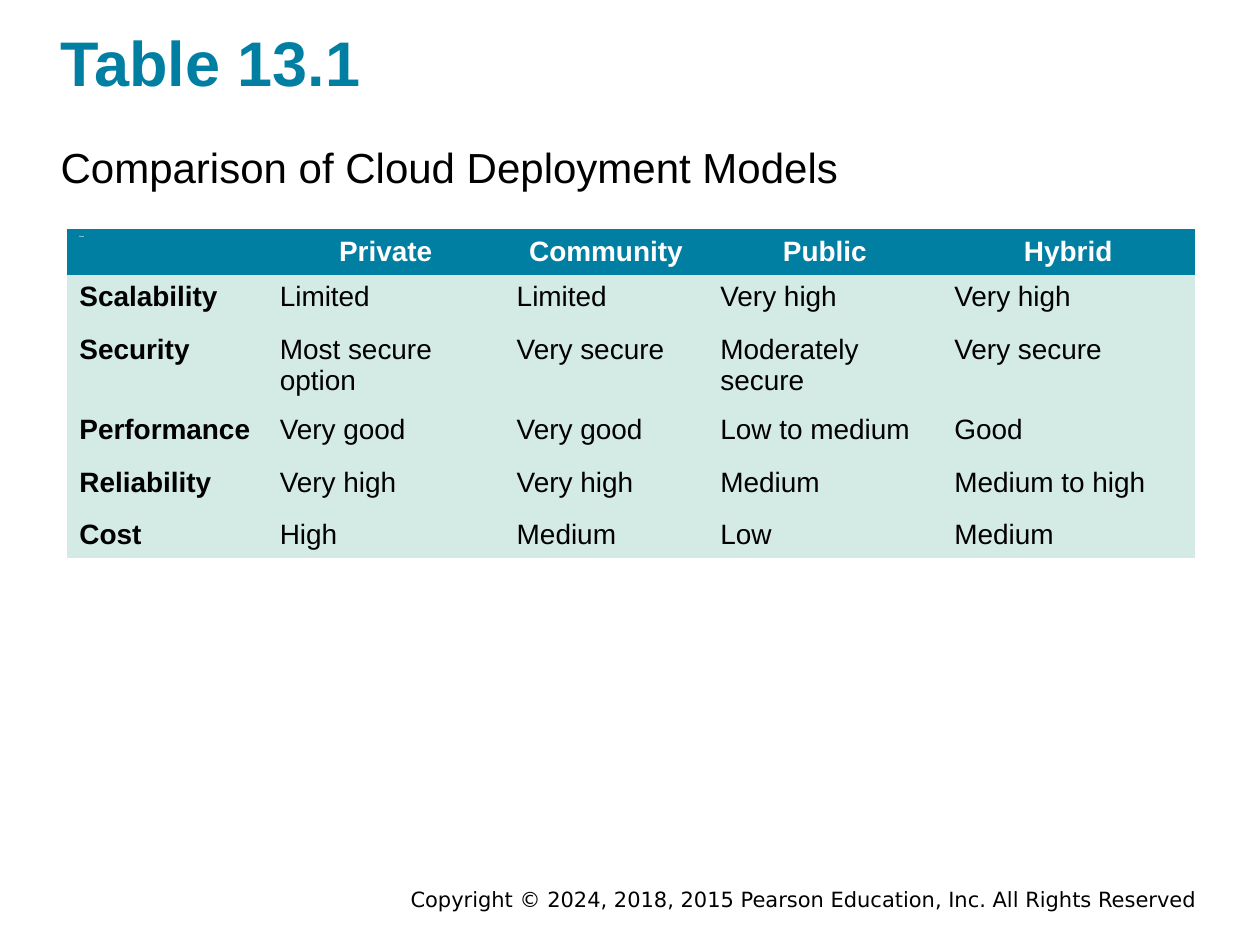
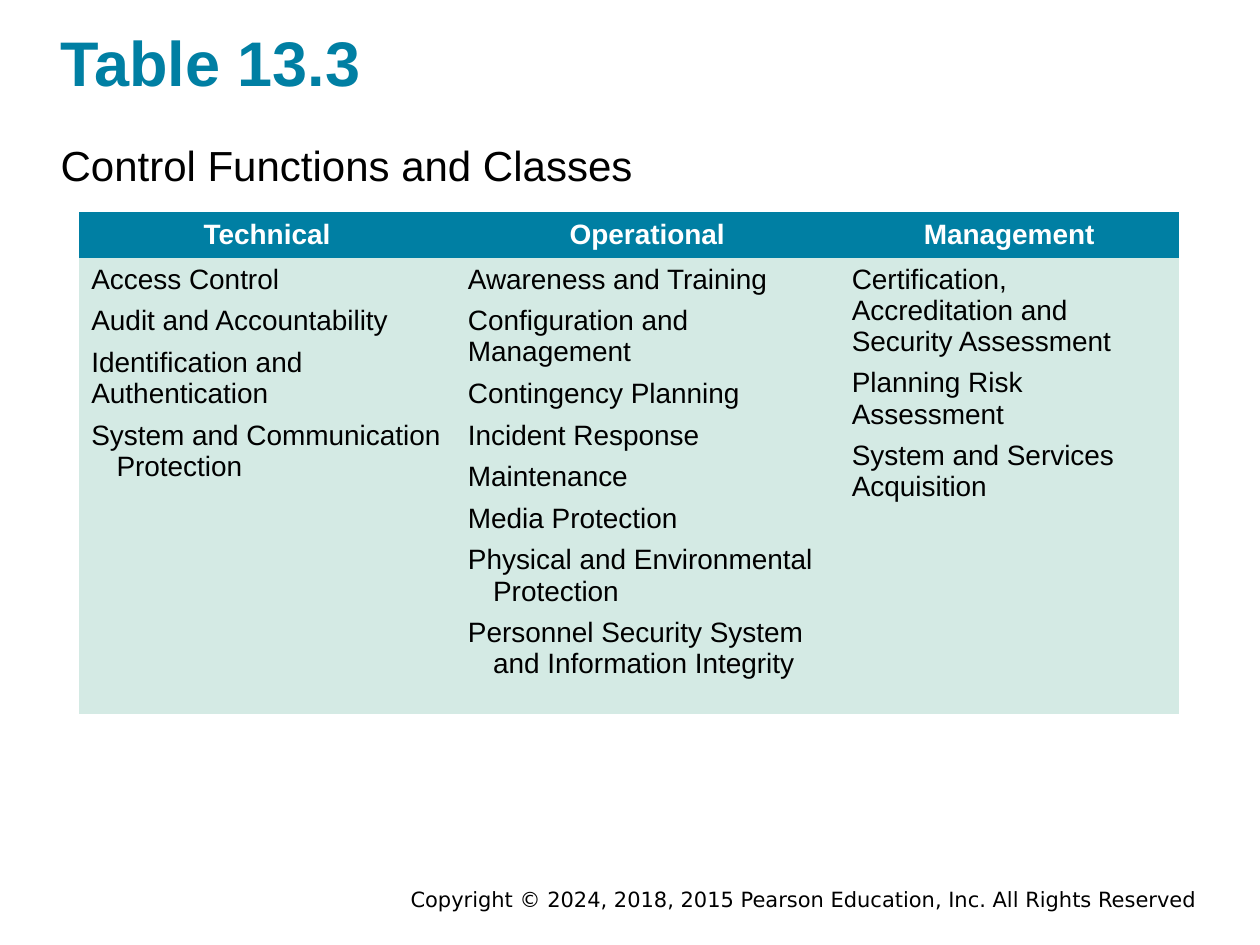
from pptx import Presentation
from pptx.dml.color import RGBColor
from pptx.enum.text import MSO_ANCHOR, MSO_AUTO_SIZE, PP_ALIGN
from pptx.util import Pt

TEAL = RGBColor(0x00, 0x7F, 0xA3)
MINT = RGBColor(0xD4, 0xEA, 0xE4)
WHITE = RGBColor(0xFF, 0xFF, 0xFF)
BLACK = RGBColor(0x00, 0x00, 0x00)
LEFT, CENTER, RIGHT = PP_ALIGN.LEFT, PP_ALIGN.CENTER, PP_ALIGN.RIGHT
TOP, MIDDLE = MSO_ANCHOR.TOP, MSO_ANCHOR.MIDDLE
NO_AUTOFIT = MSO_AUTO_SIZE.NONE
PLAIN_TABLE_STYLE = "{2D5ABB26-0587-4C30-8999-92F81FD0307C}"
COPYRIGHT = "Copyright © 2024, 2018, 2015 Pearson Education, Inc. All Rights Reserved"
HANGING = {
    "System and Communication Protection",
    "Physical and Environmental Protection",
    "Personnel Security System and Information Integrity",
}

TABLES = [
    {
        "title": "Table 13.1",
        "subtitle": "Comparison of Cloud Deployment Models",
        "subtitle_top": 79.2,
        "corner": (38.2, 131),
        "columns": [114.5, 135.4, 116.4, 133.7, 144.5],
        "heights": [26.2, 30.2, 45.7, 30.2, 29.7, 26.2],
        "row_labels": True,
        "rows": [
            ["Blank", "Private", "Community", "Public", "Hybrid"],
            ["Scalability", "Limited", "Limited", "Very high", "Very high"],
            ["Security", "Most secure option", "Very secure",
             "Moderately secure", "Very secure"],
            ["Performance", "Very good", "Very good", "Low to medium", "Good"],
            ["Reliability", "Very high", "Very high", "Medium", "Medium to high"],
            ["Cost", "High", "Medium", "Low", "Medium"],
        ],
    },
    {
        "title": "Table 13.3",
        "subtitle": "Control Functions and Classes",
        "subtitle_top": 78.2,
        "corner": (45, 121),
        "columns": [215.2, 219.4, 194.2],
        "heights": [26.2, 260.6],
        "row_labels": False,
        "rows": [
            ["Technical", "Operational", "Management"],
            [
                "Access Control\n"
                "Audit and Accountability\n"
                "Identification and Authentication\n"
                "System and Communication Protection",
                "Awareness and Training\n"
                "Configuration and Management\n"
                "Contingency Planning\n"
                "Incident Response\n"
                "Maintenance\n"
                "Media Protection\n"
                "Physical and Environmental Protection\n"
                "Personnel Security System and Information Integrity",
                "Certification, Accreditation and Security Assessment\n"
                "Planning Risk Assessment\n"
                "System and Services Acquisition",
            ],
        ],
    },
]


def set_font(paragraph, size, color, bold=False, name="Arial"):
    font = paragraph.font
    font.name, font.size, font.bold = name, Pt(size), bold
    font.color.rgb = color


def write_line(shape, box, text, align=LEFT):
    """Place a one-line text shape and return its paragraph."""
    shape.left, shape.top, shape.width, shape.height = map(Pt, box)
    frame = shape.text_frame
    frame.text = text
    frame.word_wrap = True
    frame.auto_size = NO_AUTOFIT
    frame.vertical_anchor = MIDDLE
    frame.margin_left = frame.margin_right = 0
    frame.margin_top = frame.margin_bottom = Pt(1.5)
    frame.paragraphs[0].alignment = align
    return frame.paragraphs[0]


prs = Presentation()
prs.slide_width, prs.slide_height = Pt(720), Pt(540)
title_only = prs.slide_layouts[5]

for content in TABLES:
    slide = prs.slides.add_slide(title_only)

    title = write_line(slide.shapes.title, (34.6, 11.5, 651.6, 46.8), content["title"])
    set_font(title, 36, TEAL, bold=True)

    subtitle = write_line(slide.shapes.add_textbox(0, 0, 0, 0),
                          (34.6, content["subtitle_top"], 651.6, 31.7),
                          content["subtitle"])
    set_font(subtitle, 24, BLACK)

    footer = write_line(slide.shapes.add_textbox(0, 0, 0, 0),
                        (164.9, 505.4, 519.1, 17.3), COPYRIGHT, RIGHT)
    set_font(footer, 12, BLACK, name="DejaVu Sans")

    rows, columns, heights = content["rows"], content["columns"], content["heights"]
    left, top = content["corner"]
    frame = slide.shapes.add_table(len(rows), len(columns), Pt(left), Pt(top),
                                   Pt(sum(columns)), Pt(sum(heights)))
    table = frame.table
    table.horz_banding = False
    table._tbl.tblPr[0].text = PLAIN_TABLE_STYLE
    for column, width in zip(table.columns, columns):
        column.width = Pt(width)

    for r, (texts, height) in enumerate(zip(rows, heights)):
        table.rows[r].height = Pt(height)
        header = r == 0
        for c, text in enumerate(texts):
            cell = table.cell(r, c)
            cell.text = text
            cell.fill.solid()
            cell.fill.fore_color.rgb = TEAL if header else MINT
            row_label = content["row_labels"] and c == 0
            corner = header and row_label
            cell.vertical_anchor = MIDDLE if header and not corner else TOP
            for p, paragraph in enumerate(cell.text_frame.paragraphs):
                paragraph.alignment = CENTER if header and not corner else LEFT
                if p:
                    paragraph.space_before = Pt(6)
                if paragraph.text in HANGING:
                    properties = paragraph._p.get_or_add_pPr()
                    properties.set("marL", str(Pt(14.4)))
                    properties.set("indent", str(-Pt(14.4)))
                set_font(paragraph, 1 if corner else 16, WHITE if header else BLACK,
                         bold=header or row_label)

prs.save("out.pptx")
